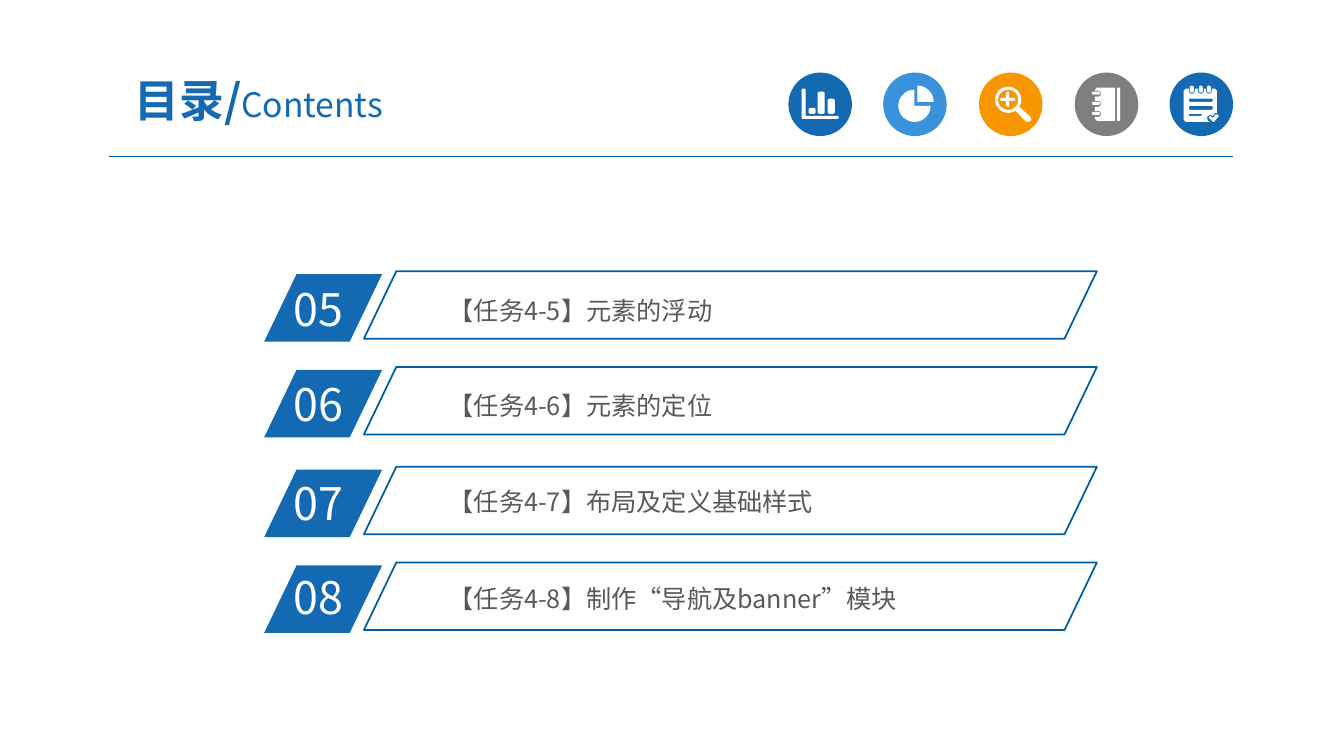
"""Build the contents slide with its icon header and four task rows."""
from dataclasses import dataclass
from math import cos, radians, sin
from typing import NamedTuple

from lxml import etree
from pptx import Presentation
from pptx.dml.color import RGBColor
from pptx.enum.shapes import MSO_CONNECTOR, MSO_SHAPE
from pptx.enum.text import MSO_ANCHOR, PP_ALIGN
from pptx.oxml.ns import qn
from pptx.util import Emu, Pt

PX = 9144
OVAL, SLANT = MSO_SHAPE.OVAL, MSO_SHAPE.PARALLELOGRAM
STRAIGHT = MSO_CONNECTOR.STRAIGHT
TOP, MIDDLE = MSO_ANCHOR.TOP, MSO_ANCHOR.MIDDLE
LEFT, CENTER = PP_ALIGN.LEFT, PP_ALIGN.CENTER

Points = list[tuple[float, float]]


@dataclass(frozen=True)
class Theme:
    font: str = "Noto Sans CJK SC"
    blue: str = "1369B2"
    sky: str = "3992DB"
    orange: str = "F79600"
    gray: str = "7F7F7F"
    rule: str = "005B9E"
    frame: str = "005DA2"
    ink: str = "595959"
    white: str = "FFFFFF"
    head: int = 32
    sub: int = 24
    body: int = 18


THEME = Theme()


class Run(NamedTuple):
    text: str
    size: int
    color: str
    bold: bool = False


class Badge(NamedTuple):
    color: str
    loops: list[Points]


class Row(NamedTuple):
    num: str
    task: str
    top: int
    num_top: int
    task_top: int


def px(*vals: float) -> list[Emu]:
    return [Emu(round(v * PX)) for v in vals]


def rgb(color: str) -> RGBColor:
    return RGBColor.from_string(color)


def arc(x: float, y: float, r: float, start: int, end: int) -> Points:
    count = max(6, abs(end - start) // 10)
    turns = [radians(start + (end - start) * i / count) for i in range(count + 1)]
    return [(x + r * cos(t), y + r * sin(t)) for t in turns]


def pill(x: int, y: int, w: int, h: int, r: float) -> Points:
    ends = [(x + w - r, y + h - r), (x + r, y + h - r), (x + r, y + r), (x + w - r, y + r)]
    return [p for i, (a, b) in enumerate(ends) for p in arc(a, b, r, 90 * i, 90 * i + 90)]


def bars() -> list[Points]:
    axis = [(13, 17), (14, 16), (16, 16), (17, 17), (17, 43), (49, 43),
            (50, 44), (50, 45), (49, 46), (14, 46), (13, 45)]
    cols = [(20, 35, 6), (29, 19, 22), (39, 26, 15)]
    return [axis] + [pill(x, y, 7, h, 2) for x, y, h in cols]


def pie() -> list[Points]:
    return [arc(31, 33, 16, 0, 270) + [(31, 33)],
            arc(34, 29, 16, 270, 360) + [(34, 29)]]


def lens() -> list[Points]:
    grip = [(50, 43), (52, 46), (51, 48), (48, 49), (46, 48)]
    plus = [(27, 20), (28, 19), (29, 19), (30, 20), (30, 25), (35, 25), (36, 26),
            (36, 27), (35, 28), (30, 28), (30, 33), (29, 34), (28, 34), (27, 33),
            (27, 28), (22, 28), (21, 27), (21, 26), (22, 25), (27, 25)]
    return [arc(29, 27, 13, 57, 393) + grip, arc(29, 27, 10, 0, 360), plus]


def book() -> list[Points]:
    rings = [41, 31, 21]
    page = [(40, 15), (40, 48), (22, 48), (20, 46)]
    for y in rings:
        page += [(20, y + 3), *arc(23, y, 3, 90, -90), (20, y - 3)]
    page += [(20, 17), (22, 15)]
    return [page, pill(42, 15, 3, 33, 1)] + [pill(17, y - 2, 8, 3, 1.5) for y in rings]


def note() -> list[Points]:
    rings = [22, 31, 39]
    page = [(14, 18), (16, 16)]
    for x in rings:
        page += [(x - 3, 16), *arc(x, 18, 3, 180, 0), (x + 3, 16)]
    page += [(45, 16), (47, 18), (47, 40), (45, 40), (43, 43), (40, 42),
             (37, 44), (38, 48), (40, 49), (16, 49), (14, 47)]
    tick = [(39, 45), (40, 43), (43, 45), (46, 41), (49, 43), (44, 49), (43, 49)]
    lines = [(26, 24, 3), (33, 24, 4), (41, 13, 2)]
    return ([page, tick] + [pill(19, y, w, h, h / 2) for y, w, h in lines]
            + [pill(x - 2, 13, 4, 7, 2) for x in rings])


def add_text(shapes, runs: list[Run], box: tuple, *, pad: tuple = (10, 5),
             align=LEFT, anchor=TOP) -> None:
    frame = shapes.add_textbox(*px(*box)).text_frame
    frame.word_wrap = True
    frame.vertical_anchor = anchor
    frame.margin_left = frame.margin_right = px(pad[0])[0]
    frame.margin_top = frame.margin_bottom = px(pad[1])[0]
    para = frame.paragraphs[0]
    para.alignment = align
    for item in runs:
        run = para.add_run()
        run.text = item.text
        font = run.font
        font.name, font.size, font.bold = THEME.font, Pt(item.size), item.bold
        font.color.rgb = rgb(item.color)
        east = etree.SubElement(run._r.get_or_add_rPr(), qn("a:ea"))
        east.set("typeface", THEME.font)


def paint(shape, fill: str = "", line: str = "") -> None:
    shape.shadow.inherit = False
    if fill:
        shape.fill.solid()
        shape.fill.fore_color.rgb = rgb(fill)
    else:
        shape.fill.background()
    if line:
        shape.line.color.rgb = rgb(line)
        shape.line.width = Pt(1.25)
    else:
        shape.line.fill.background()


def add_badge(shapes, badge: Badge, left: int, top: int) -> None:
    paint(shapes.add_shape(OVAL, *px(left, top, 63, 63)), badge.color)
    loops = [[tuple(px(left + x, top + y)) for x, y in loop] for loop in badge.loops]
    pen = shapes.build_freeform(*loops[0][0], scale=1.0)
    for i, loop in enumerate(loops):
        if i:
            pen.move_to(*loop[0])
        pen.add_line_segments(loop[1:], close=True)
    paint(pen.convert_to_shape(), THEME.white)


def add_slant(shapes, box: tuple, fill: str = "", line: str = "") -> None:
    shape = shapes.add_shape(SLANT, *px(*box))
    shape.adjustments[0] = 0.48
    paint(shape, fill, line)


def add_row(shapes, row: Row) -> None:
    add_slant(shapes, (262, row.top + 3, 117, 67), fill=THEME.blue)
    add_text(shapes, [Run(row.num, THEME.head, THEME.white)], (281, row.num_top, 112, 64))
    add_text(shapes, [Run(row.task, THEME.body, THEME.ink)],
             (438, row.task_top, 541, 38), pad=(7, 4))
    add_slant(shapes, (361, row.top, 727, 67), line=THEME.frame)


def main() -> None:
    deck = Presentation()
    deck.slide_width, deck.slide_height = px(1333, 750)
    shapes = deck.slides.add_slide(deck.slide_layouts[6]).shapes
    rule = shapes.add_connector(STRAIGHT, *px(108, 155, 1223, 155))
    rule.line.color.rgb = rgb(THEME.rule)
    rule.line.width = Pt(0.75)
    etree.SubElement(rule._element.spPr, qn("a:effectLst"))
    badges = [Badge(THEME.blue, bars()), Badge(THEME.sky, pie()),
              Badge(THEME.orange, lens()), Badge(THEME.gray, book()),
              Badge(THEME.blue, note())]
    for i, badge in enumerate(badges):
        add_badge(shapes, badge, 782 + round(94.5 * i), 72)
    add_text(shapes, [Run("目录/", THEME.head, THEME.blue, True),
                      Run("Contents", THEME.sub, THEME.blue)],
             (92, 63, 329, 72), pad=(13, 7), align=CENTER, anchor=MIDDLE)
    rows = [Row("05", "【任务4-5】元素的浮动", 269, 275, 289),
            Row("06", "【任务4-6】元素的定位", 364, 369, 383),
            Row("07", "【任务4-7】布局及定义基础样式", 463, 467, 478),
            Row("08", "【任务4-8】制作“导航及banner”模块", 558, 560, 575)]
    for row in rows:
        add_row(shapes, row)
    deck.save("out.pptx")


if __name__ == "__main__":
    main()
